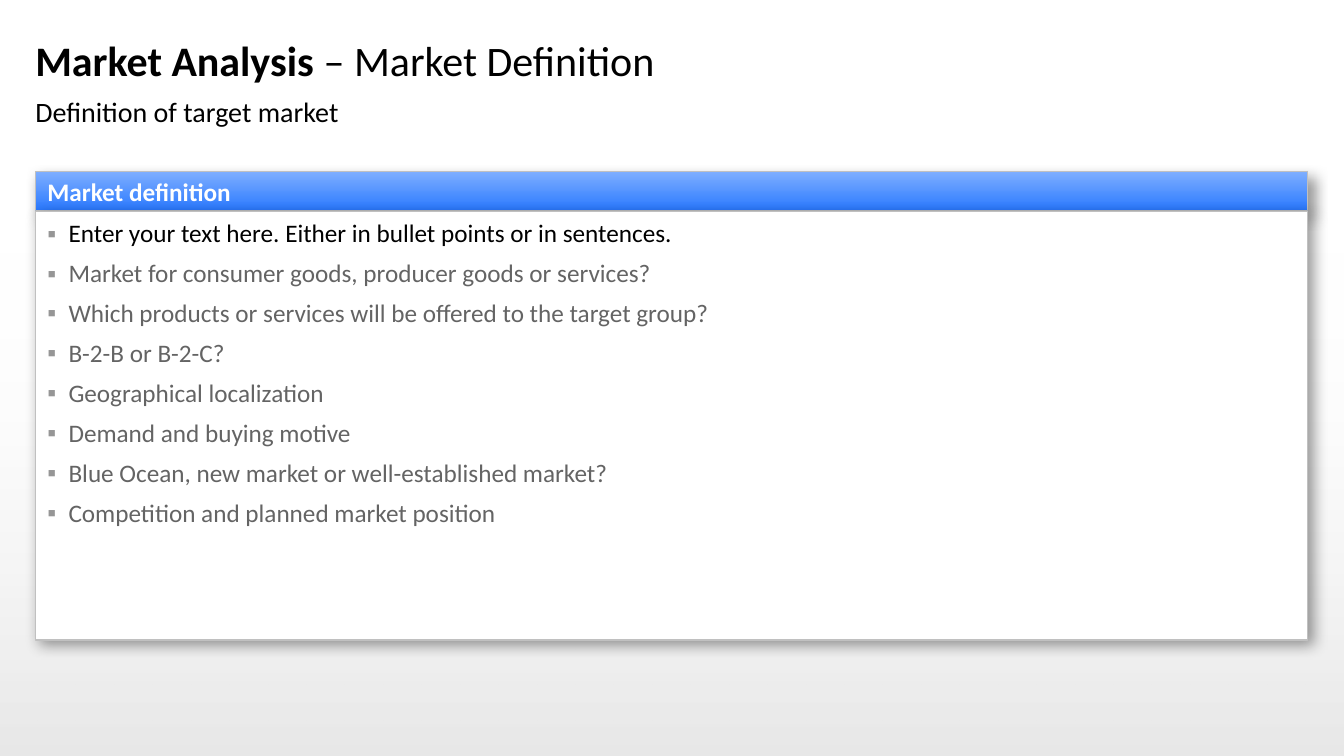
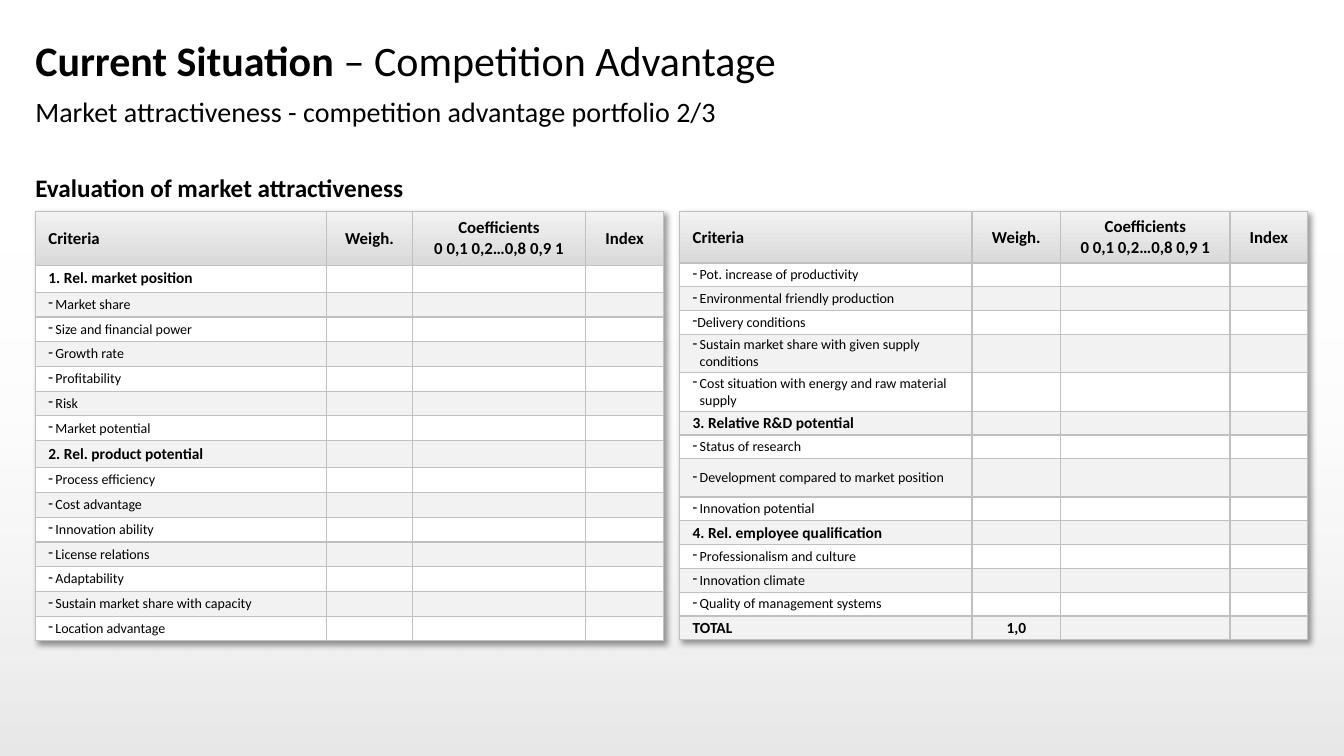
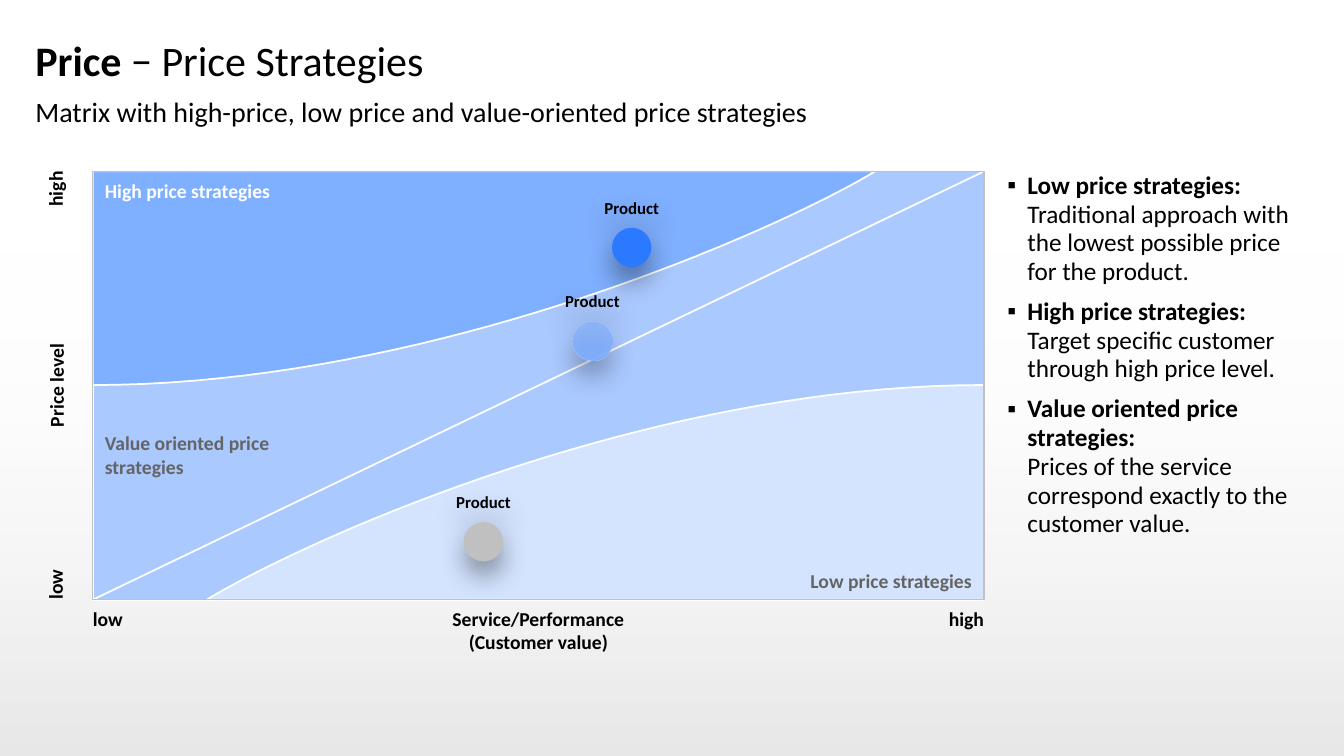
"""Build three business plan slides: market definition, competition advantage and price strategies."""
from dataclasses import dataclass
from typing import NamedTuple

from lxml.etree import SubElement
from pptx import Presentation
from pptx.dml.color import RGBColor
from pptx.enum.shapes import MSO_CONNECTOR, MSO_SHAPE
from pptx.enum.text import MSO_ANCHOR, MSO_AUTO_SIZE, PP_ALIGN
from pptx.oxml.ns import qn
from pptx.util import Inches, Pt

FONT = "Calibri"
COLORS = {
    "black": "000000", "white": "FFFFFF", "dim": "646464", "bullet": "969696",
    "border": "C0C0C0", "blue": "2A79FF", "mid": "7FAFFF", "light": "AAC9FF",
    "pale": "D4E4FF", "stripe": "F2F2F2", "head_end": "D9D9D9",
}
LEFT, WIDTH = 0.35, 12.62
MATRIX_X, MATRIX_Y, MATRIX_W, MATRIX_H = 0.92, 1.7, 8.84, 4.25
MATRIX_R, MATRIX_B = MATRIX_X + MATRIX_W, MATRIX_Y + MATRIX_H
MATRIX_MID = 3.82
LAYOUT_PLAIN, LAYOUT_LIST = 1, 3
HEADERS = ("Criteria", "Weigh.", "Coefficients\v0 0,1 0,2…0,8 0,9 1", "Index")


class Point(NamedTuple):
    x: float
    y: float


class Shadow(NamedTuple):
    blur: float
    distance: float
    angle: int


CARD_SHADOW = Shadow(10, 5, 45)
TABLE_SHADOW = Shadow(4, 3, 45)
PRODUCT_SHADOW = Shadow(20, 10, 90)


@dataclass(frozen=True)
class Criterion:
    label: str
    height: float = 0
    heading: bool = False
    hang: float = 0.07
    weight: str = ""


@dataclass(frozen=True)
class CriteriaTable:
    left: float
    height: float
    head_height: float
    columns: tuple[float, ...]
    criteria: tuple[Criterion, ...]


@dataclass(frozen=True)
class Label:
    text: str
    left: float
    top: float
    width: float
    height: float
    align: PP_ALIGN = PP_ALIGN.LEFT
    color: str = "black"
    size: float = 14
    rotation: int = 0
    inset: tuple[float, float] = (0, 0)


@dataclass(frozen=True)
class Product:
    left: float
    top: float
    color: str
    fades: bool = False


DEFINITION = (
    "Enter your text here. Either in bullet points or in sentences.",
    "Market for consumer goods, producer goods or services?",
    "Which products or services will be offered to the target group?",
    "B-2-B or B-2-C?",
    "Geographical localization",
    "Demand and buying motive",
    "Blue Ocean, new market or well-established market?",
    "Competition and planned market position",
)

TABLES = (
    CriteriaTable(LEFT, 4.26, 0.53, (2.89, 0.85, 1.72, 0.77), (
        Criterion("1. Rel. market position", 0.27, heading=True),
        Criterion("Market share"),
        Criterion("Size and financial power"),
        Criterion("Growth rate"),
        Criterion("Profitability"),
        Criterion("Risk"),
        Criterion("Market potential"),
        Criterion("2. Rel. product potential", 0.27, heading=True),
        Criterion("Process efficiency"),
        Criterion("Cost advantage"),
        Criterion("Innovation ability"),
        Criterion("License relations"),
        Criterion("Adaptability"),
        Criterion("Sustain market share with capacity"),
        Criterion("Location advantage"),
    )),
    CriteriaTable(6.74, 4.25, 0.51, (2.9, 0.88, 1.68, 0.77), (
        Criterion("Pot. increase of productivity"),
        Criterion("Environmental friendly production"),
        Criterion("Delivery conditions", hang=0.04),
        Criterion("Sustain market share with given supply conditions", 0.38),
        Criterion("Cost situation with energy and raw material supply", 0.38),
        Criterion("3. Relative R&D potential", heading=True),
        Criterion("Status of research"),
        Criterion("Development compared to market position", 0.38),
        Criterion("Innovation potential"),
        Criterion("4. Rel. employee qualification", heading=True),
        Criterion("Professionalism and culture"),
        Criterion("Innovation climate"),
        Criterion("Quality of management systems"),
        Criterion("TOTAL", heading=True, weight="1,0"),
    )),
)

STRATEGIES = (
    "Low price strategies:\vTraditional approach with the lowest possible price for the product.",
    "High price strategies:\vTarget specific customer through high price level.",
    "Value oriented price strategies:\v"
    "Prices of the service correspond exactly to the customer value.",
)

CAPTION = Label("Evaluation of market attractiveness", LEFT, 1.71, 5.58, 0.35, size=18)

PAD = (0.12, 0.08)
MATRIX_LABELS = (
    Label("high", 0.13, 2, 0.97, 0.37, PP_ALIGN.RIGHT, rotation=270),
    Label("low", 0.13, 5.28, 0.97, 0.37, rotation=270),
    Label("Price level", -0.53, 3.64, 2.31, 0.37, PP_ALIGN.CENTER, rotation=270),
    Label("high", MATRIX_R - 1.69, 6.02, 1.69, 0.24, PP_ALIGN.RIGHT),
    Label("low", MATRIX_X, 6.02, 1.69, 0.24),
    Label("Service/Performance\v(Customer value)", 2.95, 6.02, 4.78, 0.47, PP_ALIGN.CENTER),
    Label("High price strategies", MATRIX_X, MATRIX_Y, 2.95, 0.63, color="white", inset=PAD),
    Label("Value oriented price strategies", MATRIX_X, 4.2, 2.4, 0.63, color="dim", inset=PAD),
    Label("Low price strategies", MATRIX_R - 2.95, 5.56, 2.95, 0.39, PP_ALIGN.RIGHT, "dim",
          inset=PAD),
)

PRODUCTS = (
    Product(6.07, 2.26, "blue"),
    Product(5.68, 3.19, "mid", fades=True),
    Product(4.6, 5.18, "border"),
)


def rgb(name: str) -> RGBColor:
    return RGBColor.from_string(COLORS[name])


def paint(fill, color: str) -> None:
    fill.solid()
    fill.fore_color.rgb = rgb(color)


def paint_gradient(fill, start: str, end: str, angle: int) -> None:
    fill.gradient()
    fill.gradient_angle = angle
    for stop, color in zip(fill.gradient_stops, (start, end)):
        stop.color.rgb = rgb(color)


def set_alphas(sp, *percents: int) -> None:
    for clr, percent in zip(list(sp.element.spPr.iter(qn("a:srgbClr"))), percents):
        SubElement(clr, qn("a:alpha"), val=str(percent * 1000))


def outline(sp, color: str, width: float) -> None:
    sp.line.color.rgb = rgb(color)
    sp.line.width = Pt(width)


def add_shadow(effects, shadow: Shadow) -> None:
    outer = SubElement(effects, qn("a:outerShdw"), blurRad=str(Pt(shadow.blur)),
                       dist=str(Pt(shadow.distance)), dir=str(shadow.angle * 60000),
                       algn="tl", rotWithShape="0")
    clr = SubElement(outer, qn("a:srgbClr"), val=COLORS["black"])
    SubElement(clr, qn("a:alpha"), val="40000")


def shade(sp, shadow: Shadow) -> None:
    sp.shadow.inherit = False
    add_shadow(sp.element.spPr.find(qn("a:effectLst")), shadow)


def place(sp, left: float, top: float, width: float, height: float) -> None:
    sp.left, sp.top, sp.width, sp.height = map(Inches, (left, top, width, height))


def add_box(s, kind, left: float, top: float, width: float, height: float):
    sp = s.shapes.add_shape(kind, *map(Inches, (left, top, width, height)))
    sp.shadow.inherit = False
    sp.line.fill.background()
    return sp


def frame(tf, inset: tuple[float, float] = (0, 0), anchor=MSO_ANCHOR.TOP) -> None:
    tf.auto_size = MSO_AUTO_SIZE.NONE
    tf.word_wrap = True
    tf.vertical_anchor = anchor
    tf.margin_left = tf.margin_right = Inches(inset[0])
    tf.margin_top = tf.margin_bottom = Inches(inset[1])


def style(p, size: float, color: str = "black", bold: bool = False,
          align: PP_ALIGN = PP_ALIGN.LEFT) -> None:
    p.alignment = align
    p.space_before = Pt(0)
    for r in p.runs:
        r.font.name, r.font.size, r.font.bold = FONT, Pt(size), bold
        r.font.color.rgb = rgb(color)
    for br in p._p.findall(qn("a:br")):
        SubElement(br, qn("a:rPr"), sz=str(int(size * 100)))
    if not p.runs:
        SubElement(p._p, qn("a:endParaRPr"), sz=str(int(size * 100)))


def add_bullet(p, char: str, hang: float, color: str = "black") -> None:
    pPr = p._p.get_or_add_pPr()
    pPr.set("marL", str(Inches(hang)))
    pPr.set("indent", str(-Inches(hang)))
    SubElement(SubElement(pPr, qn("a:buClr")), qn("a:srgbClr"), val=COLORS[color])
    SubElement(pPr, qn("a:buChar"), char=char)


def fill_list(tf, items: tuple[str, ...], hang: float, bullet_color: str) -> None:
    tf.text = "\n".join(items)
    for p in tf.paragraphs:
        add_bullet(p, "▪", hang, bullet_color)
        style(p, 18)
        p.line_spacing = 0.95
        p.space_after = Pt(8)


def add_label(s, label: Label) -> None:
    sp = s.shapes.add_textbox(*map(Inches, (label.left, label.top, label.width, label.height)))
    sp.rotation = label.rotation
    frame(sp.text_frame, label.inset)
    p = sp.text_frame.paragraphs[0]
    p.text = label.text
    style(p, label.size, label.color, True, label.align)


def add_slide(prs, layout: int, topic: str, title: str, subtitle: str):
    s = prs.slides.add_slide(prs.slide_layouts[layout])
    place(s.shapes.title, LEFT, 0.26, WIDTH, 0.67)
    frame(s.shapes.title.text_frame, anchor=MSO_ANCHOR.MIDDLE)
    p = s.shapes.title.text_frame.paragraphs[0]
    p.text = f"{topic} "
    p.add_run().text = title
    style(p, 30)
    p.runs[0].font.bold = True
    body = s.placeholders[1]
    place(body, LEFT, 0.94, WIDTH, 0.37)
    frame(body.text_frame)
    p = body.text_frame.paragraphs[0]
    p.text = subtitle
    add_no_bullet(p)
    style(p, 20)
    return s


def add_no_bullet(p) -> None:
    pPr = p._p.get_or_add_pPr()
    pPr.set("marL", "0")
    pPr.set("indent", "0")
    SubElement(pPr, qn("a:buNone"))


def add_master_band(prs, s) -> None:
    band = add_box(s, MSO_SHAPE.RECTANGLE, 0, 2.21, 13.33, 5.29)
    paint_gradient(band.fill, "black", "white", 90)
    set_alphas(band, 10, 0)
    prs.slide_master.element.cSld.spTree.insert(2, band.element)


def add_definition_card(s) -> None:
    card = s.placeholders[2]
    header = add_box(s, MSO_SHAPE.RECTANGLE, LEFT, 1.7, WIDTH, 0.39)
    card.element.addprevious(header.element)
    paint_gradient(header.fill, "mid", "blue", 270)
    frame(header.text_frame, PAD, MSO_ANCHOR.MIDDLE)
    p = header.text_frame.paragraphs[0]
    p.text = "Market definition"
    style(p, 18, "white", True)
    place(card, LEFT, 2.1, WIDTH, 4.25)
    paint(card.fill, "white")
    frame(card.text_frame, PAD)
    fill_list(card.text_frame, DEFINITION, 0.21, "bullet")
    for p in card.text_frame.paragraphs[1:]:
        p.runs[0].font.color.rgb = rgb("dim")
    for sp in (header, card):
        outline(sp, "border", 1)
        shade(sp, CARD_SHADOW)


def format_cell(cell) -> None:
    cell.vertical_anchor = MSO_ANCHOR.MIDDLE
    cell.margin_left = cell.margin_right = Inches(0.13)
    cell.margin_top = cell.margin_bottom = 0
    tcPr = cell._tc.get_or_add_tcPr()
    for i, side in enumerate(("lnL", "lnR", "lnT", "lnB")):
        ln = SubElement(tcPr, qn(f"a:{side}"), w=str(Pt(1)))
        SubElement(SubElement(ln, qn("a:solidFill")), qn("a:srgbClr"), val=COLORS["border"])
        tcPr.insert(i, ln)


def add_criteria_table(s, spec: CriteriaTable) -> None:
    rows = len(spec.criteria) + 1
    box = map(Inches, (spec.left, 2.1, sum(spec.columns), spec.height))
    table = s.shapes.add_table(rows, len(HEADERS), *box).table
    table.first_row = table.horz_banding = False
    tblPr = table._tbl.tblPr
    effects = SubElement(tblPr, qn("a:effectLst"))
    tblPr.insert(0, effects)
    add_shadow(effects, TABLE_SHADOW)

    fixed = [c.height for c in spec.criteria]
    shared = (spec.height - spec.head_height - sum(fixed)) / fixed.count(0)
    for row, height in zip(table.rows, [spec.head_height] + [h or shared for h in fixed]):
        row.height = Inches(height)
    for column, width in zip(table.columns, spec.columns):
        column.width = Inches(width)

    for i, header in enumerate(HEADERS):
        cell = table.cell(0, i)
        p = cell.text_frame.paragraphs[0]
        p.text = header
        style(p, 12, bold=True, align=PP_ALIGN.CENTER if i else PP_ALIGN.LEFT)
        paint_gradient(cell.fill, "stripe", "head_end", 270)
        format_cell(cell)
    for n, criterion in enumerate(spec.criteria, 1):
        for i, text in enumerate((criterion.label, criterion.weight, "", "")):
            cell = table.cell(n, i)
            p = cell.text_frame.paragraphs[0]
            p.text = text
            if i == 0 and not criterion.heading:
                add_bullet(p, "-", criterion.hang)
            style(p, 11 if criterion.heading else 10, bold=criterion.heading,
                  align=PP_ALIGN.CENTER if i else PP_ALIGN.LEFT)
            paint(cell.fill, "white" if n % 2 else "stripe")
            format_cell(cell)


def bezier(a: Point, b: Point, c: Point, d: Point, steps: int = 40) -> list[Point]:
    points = []
    for t in (i / steps for i in range(steps + 1)):
        weights = ((1 - t) ** 3, 3 * t * (1 - t) ** 2, 3 * t ** 2 * (1 - t), t ** 3)
        points.append(Point(*(sum(w * v for w, v in zip(weights, axis))
                              for axis in zip(a, b, c, d))))
    return points


def add_region(s, corner: Point, curve: list[Point], color: str) -> None:
    builder = s.shapes.build_freeform(Inches(corner.x), Inches(corner.y))
    builder.add_line_segments([(Inches(x), Inches(y)) for x, y in curve], close=True)
    sp = builder.convert_to_shape()
    sp.shadow.inherit = False
    paint(sp.fill, color)
    outline(sp, "white", 1.25)


def add_product(s, product: Product) -> None:
    sp = add_box(s, MSO_SHAPE.OVAL, product.left, product.top, 0.39, 0.39)
    if product.fades:
        paint_gradient(sp.fill, product.color, product.color, 90)
        set_alphas(sp, 100, 50)
    else:
        paint(sp.fill, product.color)
    shade(sp, PRODUCT_SHADOW)
    tf = sp.text_frame
    frame(tf, anchor=MSO_ANCHOR.BOTTOM)
    tf.word_wrap = False
    tf.margin_bottom = Inches(0.59)
    p = tf.paragraphs[0]
    p.text = "Product"
    style(p, 12, bold=True, align=PP_ALIGN.CENTER)
    p.line_spacing = 0.9
    p.space_after = Pt(4)


def add_price_matrix(s) -> None:
    area = (MATRIX_X, MATRIX_Y, MATRIX_W, MATRIX_H)
    base = add_box(s, MSO_SHAPE.RECTANGLE, *area)
    paint(base.fill, "light")
    outline(base, "white", 1.25)
    add_region(s, Point(MATRIX_R, MATRIX_B), bezier(
        Point(MATRIX_R, MATRIX_MID), Point(6.38, MATRIX_MID),
        Point(2.99, 5.38), Point(2.05, MATRIX_B)), "pale")
    add_region(s, Point(MATRIX_X, MATRIX_Y), bezier(
        Point(MATRIX_X, MATRIX_MID), Point(4.3, MATRIX_MID),
        Point(7.74, 2.27), Point(8.68, MATRIX_Y)), "mid")
    diagonal = s.shapes.add_connector(
        MSO_CONNECTOR.STRAIGHT, *map(Inches, (MATRIX_X, MATRIX_B, MATRIX_R, MATRIX_Y)))
    outline(diagonal, "white", 1.25)
    SubElement(diagonal.element.spPr, qn("a:effectLst"))
    for label in MATRIX_LABELS:
        add_label(s, label)
    border = add_box(s, MSO_SHAPE.RECTANGLE, *area)
    border.fill.background()
    outline(border, "border", 1)
    for product in PRODUCTS:
        add_product(s, product)


def main() -> None:
    prs = Presentation()
    prs.slide_width, prs.slide_height = Inches(13.33), Inches(7.5)

    s = add_slide(prs, LAYOUT_LIST, "Market Analysis", "– Market Definition",
                  "Definition of target market")
    add_master_band(prs, s)
    add_definition_card(s)

    s = add_slide(prs, LAYOUT_PLAIN, "Current Situation", "– Competition Advantage",
                  "Market attractiveness - competition advantage portfolio 2/3")
    for table in TABLES:
        add_criteria_table(s, table)
    add_label(s, CAPTION)

    s = add_slide(prs, LAYOUT_LIST, "Price", "− Price Strategies",
                  "Matrix with high-price, low price and value-oriented price strategies")
    strategies = s.placeholders[2]
    place(strategies, 9.99, 1.7, 2.99, 4.65)
    frame(strategies.text_frame)
    fill_list(strategies.text_frame, STRATEGIES, 0.2, "black")
    for p in strategies.text_frame.paragraphs:
        p.runs[0].font.bold = True
    add_price_matrix(s)

    prs.save("out.pptx")


if __name__ == "__main__":
    main()
